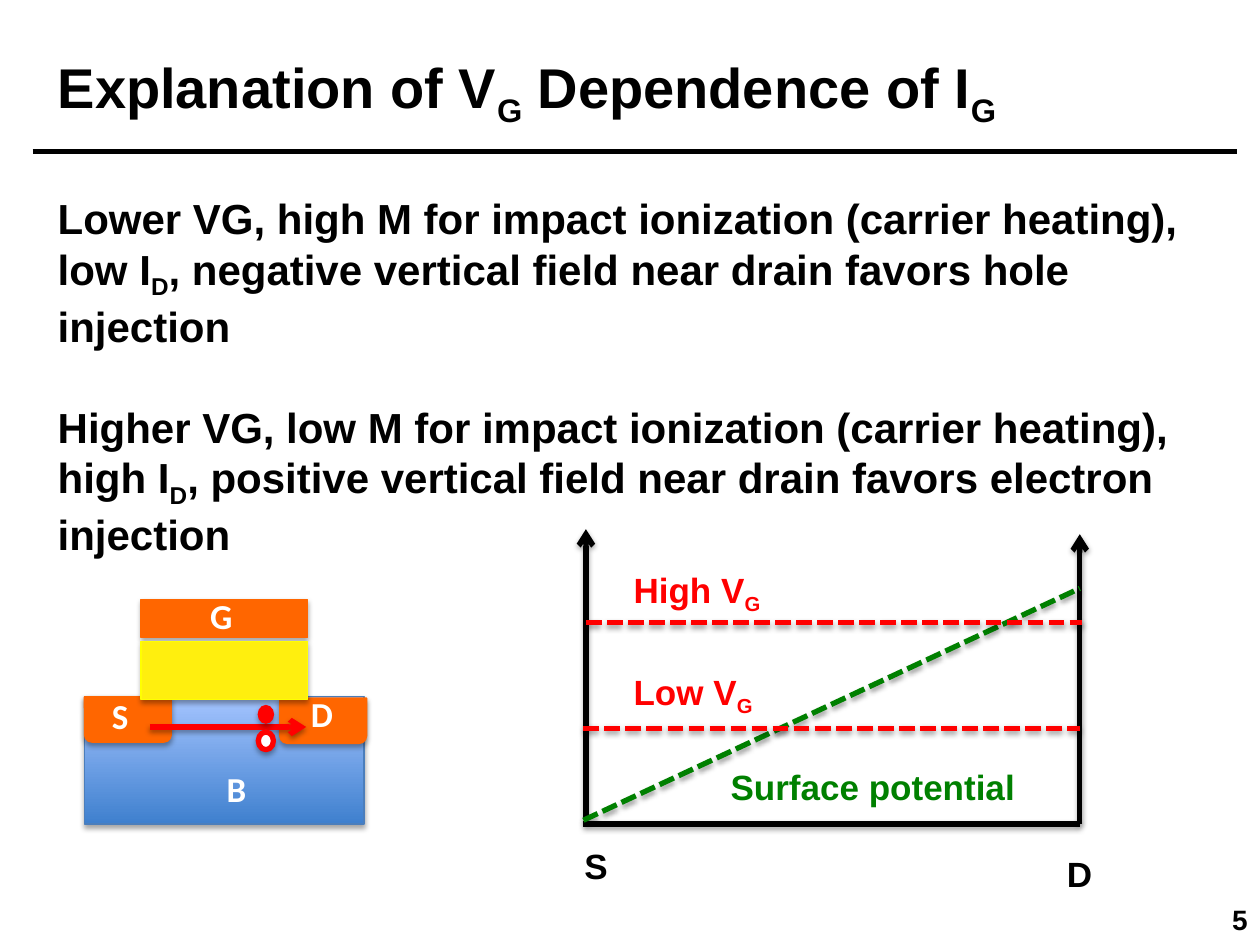
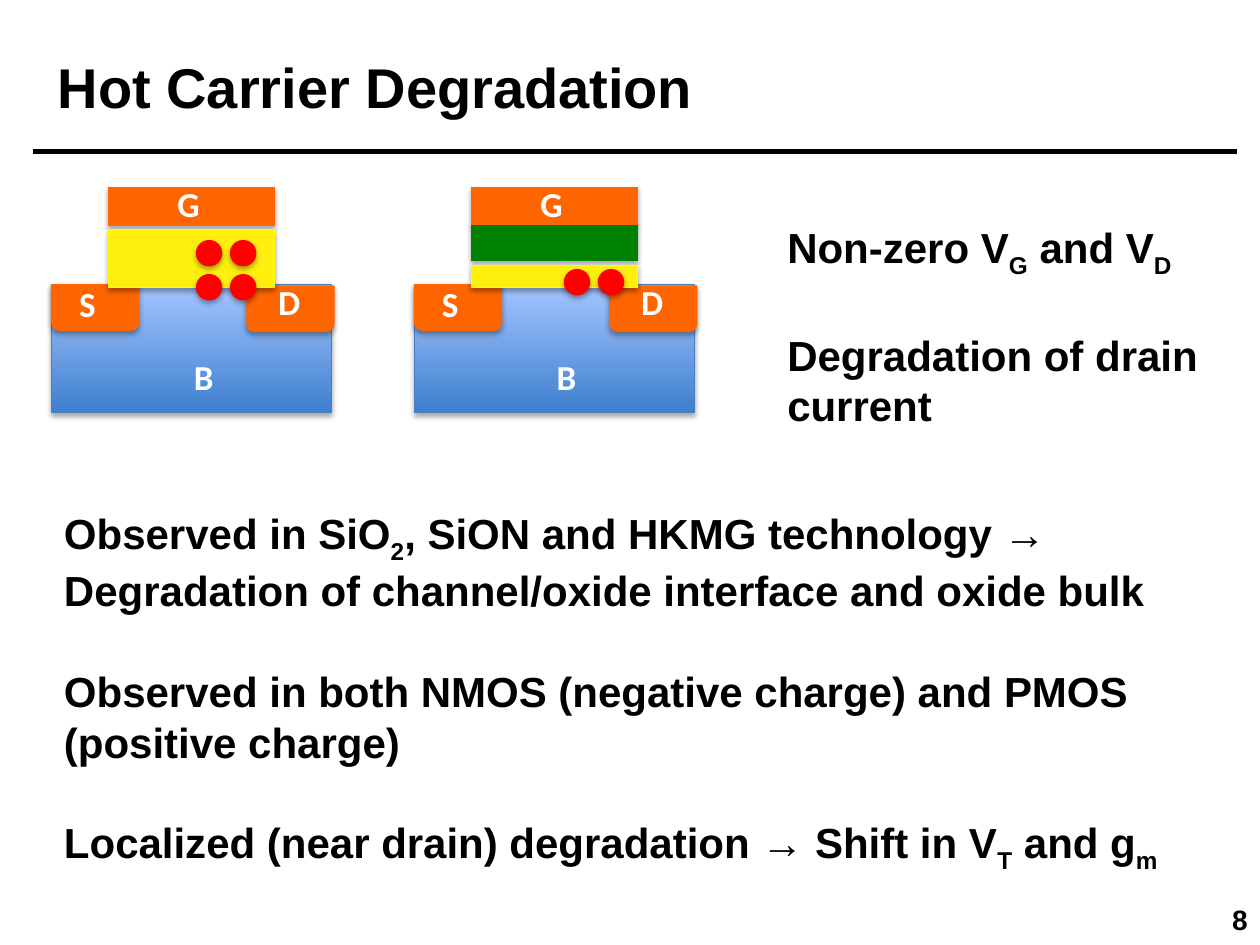
from dataclasses import dataclass
from typing import Optional

from lxml.etree import SubElement
from pptx import Presentation
from pptx.dml.color import RGBColor
from pptx.enum.dml import MSO_LINE
from pptx.enum.shapes import MSO_CONNECTOR, MSO_SHAPE
from pptx.enum.text import MSO_ANCHOR, MSO_AUTO_SIZE, PP_ALIGN
from pptx.oxml.ns import qn
from pptx.util import Inches, Pt

BLACK = RGBColor(0x00, 0x00, 0x00)
WHITE = RGBColor(0xFF, 0xFF, 0xFF)
RED = RGBColor(0xFF, 0x00, 0x00)
GREEN = RGBColor(0x00, 0x80, 0x00)
ORANGE = RGBColor(0xFF, 0x66, 0x00)
OXIDE_FILL = RGBColor(0xFF, 0xEF, 0x0E)
OXIDE_LINE = RGBColor(0xFF, 0xFF, 0x00)
BULK_DARK = RGBColor(0x3F, 0x80, 0xCE)
BULK_LIGHT = RGBColor(0xA4, 0xC4, 0xFF)
BULK_LINE = RGBColor(0x4B, 0x7E, 0xBC)

BODY_GAP = Pt(28.8)


@dataclass
class Block:
    """A filled preset shape."""
    left: float
    top: float
    width: float
    height: float
    fill: Optional[RGBColor]  # None means the bulk gradient
    line: RGBColor
    kind: MSO_SHAPE = MSO_SHAPE.RECTANGLE
    line_width: float = 0.75
    rotation: int = 0


@dataclass
class Label:
    """Text whose parts between bars are subscripts."""
    left: float
    top: float
    width: float
    height: float
    paragraphs: tuple[str, ...]
    size: int = 20
    color: RGBColor = BLACK
    font: str = "Arial"
    wrap: bool = False


@dataclass
class Stroke:
    """A straight line, optionally dashed or ending in an arrow."""
    x1: float
    y1: float
    x2: float
    y2: float
    color: RGBColor = BLACK
    dashed: bool = False
    arrow: bool = False
    shadow: bool = True


def add_shadow(properties, opacity: int, distance: float) -> None:
    """Add a soft downward shadow; zero opacity gives an empty effect list."""
    effects = SubElement(properties, qn("a:effectLst"))
    if opacity:
        shadow = SubElement(effects, qn("a:outerShdw"), blurRad=str(Pt(3.1)),
                            dist=str(Pt(distance)), dir="5400000", rotWithShape="0")
        color = SubElement(shadow, qn("a:srgbClr"), val="000000")
        SubElement(color, qn("a:alpha"), val=str(opacity * 1000))


def draw_block(shapes, block: Block, x: float = 0, y: float = 0) -> None:
    shape = shapes.add_shape(block.kind, Inches(x + block.left), Inches(y + block.top),
                             Inches(block.width), Inches(block.height))
    shape.rotation = block.rotation
    if block.fill is None:
        shape.fill.gradient()
        shape.fill.gradient_angle = 90
        for stop, color in zip(shape.fill.gradient_stops, (BULK_DARK, BULK_LIGHT)):
            stop.color.rgb = color
    else:
        shape.fill.solid()
        shape.fill.fore_color.rgb = block.fill
    shape.line.color.rgb = block.line
    shape.line.width = Pt(block.line_width)
    add_shadow(shape._element.spPr, 35, 1.8)


def draw_label(shapes, label: Label, x: float = 0, y: float = 0):
    box = shapes.add_textbox(Inches(x + label.left), Inches(y + label.top),
                             Inches(label.width), Inches(label.height))
    text_frame = box.text_frame
    text_frame.word_wrap = label.wrap
    text_frame.auto_size = MSO_AUTO_SIZE.SHAPE_TO_FIT_TEXT
    for index, text in enumerate(label.paragraphs):
        paragraph = text_frame.add_paragraph() if index else text_frame.paragraphs[0]
        if index:
            paragraph.space_before = BODY_GAP
        for position, part in enumerate(text.split("|")):
            if not part:
                continue
            run = paragraph.add_run()
            run.text = part
            run.font.name = label.font
            run.font.size = Pt(label.size)
            run.font.bold = True
            run.font.color.rgb = label.color
            if position % 2:
                run.font._element.set("baseline", "-25000")
    return text_frame


def draw_stroke(shapes, stroke: Stroke) -> None:
    connector = shapes.add_connector(MSO_CONNECTOR.STRAIGHT, Inches(stroke.x1), Inches(stroke.y1),
                                     Inches(stroke.x2), Inches(stroke.y2))
    connector.line.color.rgb = stroke.color
    connector.line.width = Pt(3)
    if stroke.dashed:
        connector.line.dash_style = MSO_LINE.SQUARE_DOT
    if stroke.arrow:
        SubElement(connector.line._get_or_add_ln(), qn("a:tailEnd"), type="arrow")
    add_shadow(connector._element.spPr, 38 if stroke.shadow else 0, 1.6)


def draw_dot(shapes, left: float, top: float, width: float, height: float,
             fill: RGBColor = RED, line_width: float = 0.75) -> None:
    draw_block(shapes, Block(left, top, width, height, fill, RED, MSO_SHAPE.OVAL, line_width))


def draw_transistor(slide, x: float, y: float, high_k: bool = False) -> None:
    """Draw a transistor whose bulk has its top left corner at x, y."""
    shapes = slide.shapes.add_group_shape().shapes
    blocks = [Block(0, 0, 2.22, 1.01, None, BULK_LINE),
              Block(0.45, -0.77, 1.32, 0.3, ORANGE, ORANGE)]
    if high_k:
        blocks.append(Block(0.45, -0.47, 1.32, 0.28, GREEN, GREEN))
    for left, top in ((0, 0), (1.55, 0.01)):  # source and drain
        blocks.append(Block(left, top, 0.69, 0.36, ORANGE, ORANGE,
                            MSO_SHAPE.ROUND_2_SAME_RECTANGLE, rotation=180))
    oxide_height = 0.17 if high_k else 0.46
    blocks.append(Block(0.45, 0.02 - oxide_height, 1.32, oxide_height, OXIDE_FILL, OXIDE_LINE))
    for block in blocks:
        draw_block(shapes, block, x, y)
    for letter, left, top in (("D", 1.7, -0.08), ("S", 0.12, -0.07),
                              ("G", 0.9, -0.86), ("B", 1.03, 0.51)):
        draw_label(shapes, Label(left, top, 0.4, 0.44, (letter,), color=WHITE, font="Calibri"), x, y)


def add_base_slide(presentation, title: str, number: str):
    """Add a slide with its number, title rule and title."""
    slide = presentation.slides.add_slide(presentation.slide_layouts[6])
    number_frame = draw_label(slide.shapes, Label(7.67, 7.1, 2.33, 0.4, (number,), 16, wrap=True))
    number_frame.auto_size = MSO_AUTO_SIZE.NONE
    number_frame.vertical_anchor = MSO_ANCHOR.MIDDLE
    number_frame.paragraphs[0].alignment = PP_ALIGN.RIGHT
    draw_stroke(slide.shapes, Stroke(0.26, 1.2, 9.82, 1.2, shadow=False))
    draw_label(slide.shapes, Label(0.36, 0.37, 8.21, 0.64, (title,), 32, wrap=True))
    return slide


def build_gate_voltage_slide(presentation) -> None:
    slide = add_base_slide(presentation, "Explanation of V|G| Dependence of I|G|", "5")
    shapes = slide.shapes
    draw_label(shapes, Label(0.36, 1.48, 9.13, 2.93, (
        "Lower VG, high M for impact ionization (carrier heating), low I|D|, "
        "negative vertical field near drain favors hole injection",
        "Higher VG, low M for impact ionization (carrier heating), high I|D|, "
        "positive vertical field near drain favors electron injection"), 24, wrap=True))

    # Carrier path, electron and hole
    draw_transistor(slide, 0.67, 5.53)
    draw_stroke(shapes, Stroke(1.19, 5.77, 2.43, 5.77, RED, arrow=True))
    draw_dot(shapes, 2.05, 5.6, 0.12, 0.14)
    draw_dot(shapes, 2.05, 5.81, 0.12, 0.14, WHITE, 3)

    # Potential diagram from source to drain
    for stroke in (Stroke(4.63, 6.54, 8.57, 6.54),
                   Stroke(4.65, 6.5, 4.65, 4.2, arrow=True),
                   Stroke(8.57, 6.54, 8.57, 4.24, arrow=True),
                   Stroke(4.63, 6.51, 8.57, 4.67, GREEN, dashed=True),
                   Stroke(4.65, 4.94, 8.59, 4.94, RED, dashed=True),
                   Stroke(4.63, 5.78, 8.57, 5.78, RED, dashed=True)):
        draw_stroke(shapes, stroke)
    for label in (Label(4.54, 6.65, 0.39, 0.44, ("S",)),
                  Label(8.37, 6.72, 0.4, 0.44, ("D",)),
                  Label(5.7, 6.03, 2.48, 0.44, ("Surface potential",), color=GREEN),
                  Label(4.93, 5.27, 1.17, 0.44, ("Low V|G|",), color=RED),
                  Label(4.93, 4.46, 1.24, 0.44, ("High V|G|",), color=RED)):
        draw_label(shapes, label)


def build_degradation_slide(presentation) -> None:
    slide = add_base_slide(presentation, "Hot Carrier Degradation", "8")
    shapes = slide.shapes
    draw_label(shapes, Label(0.41, 3.98, 9.43, 2.93, (
        "Observed in SiO|2|, SiON and HKMG technology → "
        "Degradation of channel/oxide interface and oxide bulk",
        "Observed in both NMOS (negative charge) and PMOS (positive charge)",
        "Localized (near drain) degradation → Shift in V|T| and g|m|"), 24, wrap=True))

    # Plain oxide and high-k stacks with trapped charges
    draw_transistor(slide, 0.41, 2.26)
    draw_transistor(slide, 3.29, 2.26, high_k=True)
    for left, top in ((1.56, 2.18), (4.48, 2.14), (1.56, 1.91)):
        for offset in (0, 0.27):
            draw_dot(shapes, left + offset, top, 0.2, 0.2)

    draw_label(shapes, Label(6.15, 1.71, 3.57, 1.72, (
        "Non-zero V|G| and V|D|", "Degradation of drain current"), 24, wrap=True))


def main() -> None:
    presentation = Presentation()
    presentation.slide_width = Inches(10)
    presentation.slide_height = Inches(7.5)
    build_gate_voltage_slide(presentation)
    build_degradation_slide(presentation)
    presentation.save("out.pptx")


if __name__ == "__main__":
    main()
